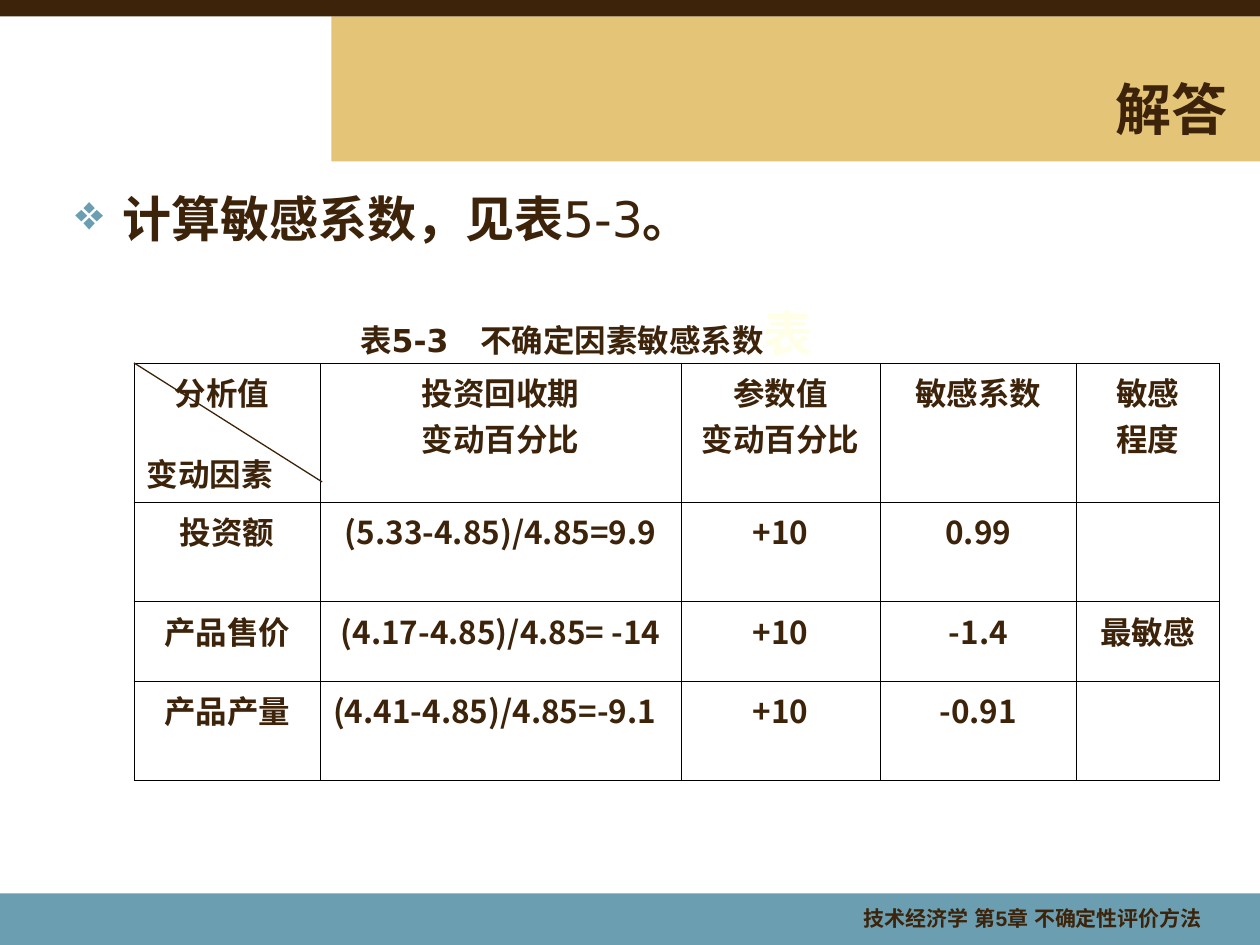
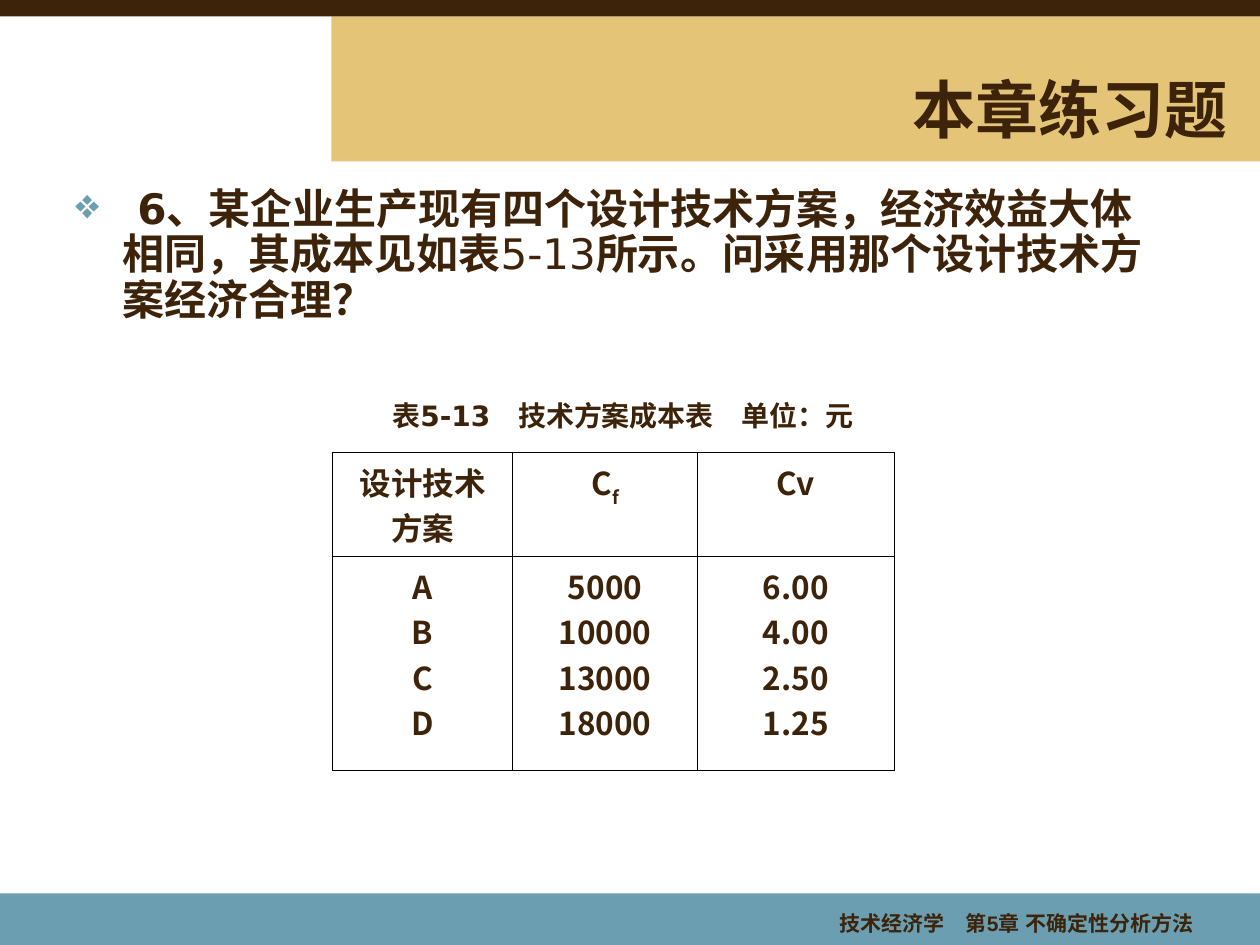
from lxml import etree
from pptx import Presentation
from pptx.dml.color import RGBColor
from pptx.enum import shapes, text
from pptx.oxml import ns
from pptx.util import Pt

BROWN = RGBColor(0x3C, 0x23, 0x0A)
GOLD = RGBColor(0xE4, 0xC5, 0x78)
TEAL = RGBColor(0x6A, 0x9E, 0xB0)
CREAM = RGBColor(0xFF, 0xFF, 0xE7)
BLACK = RGBColor(0, 0, 0)

HEADING_FONT = "Arial"
BODY_FONT = "DejaVu Sans"
TABLE_FONT = "Noto Sans CJK SC"
LEFT, CENTER, RIGHT = text.PP_ALIGN.LEFT, text.PP_ALIGN.CENTER, text.PP_ALIGN.RIGHT


def add_element(parent, tag, **attributes):
    """Append a drawing element to parent and return it."""
    return etree.SubElement(parent, ns.qn(tag), attributes)


def write(frame, content, font=BODY_FONT, size=18, align=LEFT, bullet=None,
          indent=0, spacing=None, gap=0):
    """Fill a frame with lines, each a string or a list of (text, format) runs."""
    lines = [content] if isinstance(content, str) else content
    for number, line in enumerate(lines):
        para = frame.add_paragraph() if number else frame.paragraphs[0]
        para.alignment = align
        if spacing:
            para.line_spacing = spacing
        if number and gap:
            para.space_before = Pt(gap)
        if indent and not number:
            para._p.get_or_add_pPr().set("marL", str(Pt(indent)))
        if bullet:
            properties = para._p.get_or_add_pPr()
            properties.set("indent", str(-Pt(indent)))
            color = add_element(properties, "a:buClr")
            add_element(color, "a:srgbClr", val=str(TEAL))
            add_element(properties, "a:buChar", char=bullet)
        for words, look in [(line, {})] if isinstance(line, str) else line:
            span = para.add_run()
            span.text = words
            span.font.name = font
            span.font.size = Pt(look.get("size", size))
            span.font.bold = look.get("bold", True)
            span.font.color.rgb = look.get("color", BROWN)
            marks = span._r.get_or_add_rPr()
            add_element(marks, "a:ea", typeface=font)
            if "baseline" in look:
                marks.set("baseline", str(look["baseline"] * 1000))


class ChapterDeck:
    """Holds the chapter style and the slide being built."""

    def __init__(self):
        self.deck = Presentation()
        self.deck.slide_width, self.deck.slide_height = Pt(720), Pt(540)
        self.page = None

    def new_page(self, title, title_size, footer, footer_place):
        """Start a slide with its bands, title and footer."""
        self.page = self.deck.slides.add_slide(self.deck.slide_layouts[6])
        self.band(189.4, 9.4, 530.6, 82.8, GOLD)
        self.band(0, 510.5, 720, 29.5, TEAL)
        self.band(0, 0, 720, 9.4, BROWN)
        self.label(210.2, 39.6, 498.2, 44.6, title, font=HEADING_FONT,
                   size=title_size, align=RIGHT, anchor=text.MSO_ANCHOR.MIDDLE)
        self.label(*footer_place, 24, footer, font=HEADING_FONT, size=12, align=RIGHT)

    def band(self, left, top, width, height, color):
        """Draw a plain filled rectangle."""
        box = self.page.shapes.add_shape(
            shapes.MSO_SHAPE.RECTANGLE, Pt(left), Pt(top), Pt(width), Pt(height))
        box.shadow.inherit = False
        box.fill.solid()
        box.fill.fore_color.rgb = color
        box.line.fill.background()

    def label(self, left, top, width, height, content,
              anchor=text.MSO_ANCHOR.TOP, **look):
        """Place a wrapping text box."""
        box = self.page.shapes.add_textbox(Pt(left), Pt(top), Pt(width), Pt(height))
        box.text_frame.word_wrap = True
        box.text_frame.vertical_anchor = anchor
        write(box.text_frame, content, **look)

    def body(self, width, height, content, size, spacing=None):
        """Place the bulleted statement below the title."""
        self.label(36, 104, width, height, [content], size=size, spacing=spacing,
                   bullet="❖", indent=27)

    def caption(self, center, top, content, size):
        """Place a table caption centred on a point."""
        self.label(center - 200, top, 400, 40, [content], size=size, align=CENTER)

    def line(self, left, top, right, bottom):
        """Draw a thin straight line."""
        rule = self.page.shapes.add_connector(
            shapes.MSO_CONNECTOR.STRAIGHT, Pt(left), Pt(top), Pt(right), Pt(bottom))
        rule.line.color.rgb = BROWN
        rule.line.width = Pt(0.75)
        add_element(rule._element.spPr, "a:effectLst")

    def table(self, left, top, widths, heights, rows, looks=None):
        """Draw a ruled table; looks maps (row, column) to text formats."""
        grid = self.page.shapes.add_table(
            len(rows), len(widths), Pt(left), Pt(top),
            Pt(sum(widths)), Pt(sum(heights))).table
        grid.first_row = grid.horz_banding = False
        for column, width in zip(grid.columns, widths):
            column.width = Pt(width)
        for row, height in zip(grid.rows, heights):
            row.height = Pt(height)
        for r, values in enumerate(rows):
            for c, value in enumerate(values):
                cell = grid.cell(r, c)
                look = {"align": CENTER, **(looks or {}).get((r, c), {})}
                write(cell.text_frame, value, font=TABLE_FONT, **look)
                self.rule_cell(cell)

    @staticmethod
    def rule_cell(cell):
        """Give a cell thin black borders and no fill."""
        properties = cell._tc.get_or_add_tcPr()
        for side in ("a:lnL", "a:lnR", "a:lnT", "a:lnB"):
            border = add_element(properties, side, w=str(Pt(0.45)))
            fill = add_element(border, "a:solidFill")
            add_element(fill, "a:srgbClr", val=str(BLACK))
        cell.fill.background()


def sensitivity_page(deck):
    """Build the answer with the sensitivity coefficients."""
    deck.new_page("解答", 32, "技术经济学 第5章 不确定性评价方法", (445, 514, 249))
    deck.body(613, 50, [("计算敏感系数，见表", {}), ("5-3", {"bold": False}), ("。", {})], 28)
    deck.caption(335, 170, [("表5-3　不确定因素敏感系数", {}),
                            ("表", {"size": 28, "color": CREAM})], 18)
    left, top = 76.6, 207.4
    deck.table(
        left, top, [106.5, 206, 114, 112, 81.5], [79.4, 57, 45.4, 57],
        [[["分析值", "变动因素"], ["投资回收期", "变动百分比"],
          ["参数值", "变动百分比"], "敏感系数", ["敏感", "程度"]],
         ["投资额", "(5.33-4.85)/4.85=9.9", "+10", "0.99", ""],
         ["产品售价", "(4.17-4.85)/4.85= -14", "+10", "-1.4", "最敏感"],
         ["产品产量", "(4.41-4.85)/4.85=-9.1", "+10", "-0.91", ""]],
        {(0, 0): {"align": LEFT, "indent": 16, "gap": 20}, (3, 1): {"align": LEFT}})
    deck.line(left, top, left + 107.5, top + 68)


def exercise_page(deck):
    """Build the exercise with the cost table."""
    deck.new_page("本章练习题", 36, "技术经济学　第5章 不确定性分析方法", (422.6, 516.5, 266.4))
    deck.body(641.5, 90, [
        (" 6、某企业生产现有四个设计技术方案，经济效益大体相同，其成本见如表", {}),
        ("5-13", {"bold": False}),
        ("所示。问采用那个设计技术方案经济合理？", {})], 24, spacing=0.9)
    deck.caption(356, 224, [("表5-13　技术方案成本表　单位：元", {})], 16)
    deck.table(
        190, 258.5, [103, 105.6, 112.4], [59.4, 122.4],
        [["设计技术方案", [[("C", {}), ("f", {"baseline": -30})]], "Cv"],
         [["A", "B", "C", "D"], ["5000", "10000", "13000", "18000"],
          ["6.00", "4.00", "2.50", "1.25"]]])


def main():
    """Build and save the slides."""
    chapter = ChapterDeck()
    sensitivity_page(chapter)
    exercise_page(chapter)
    chapter.deck.save("out.pptx")


if __name__ == "__main__":
    main()
